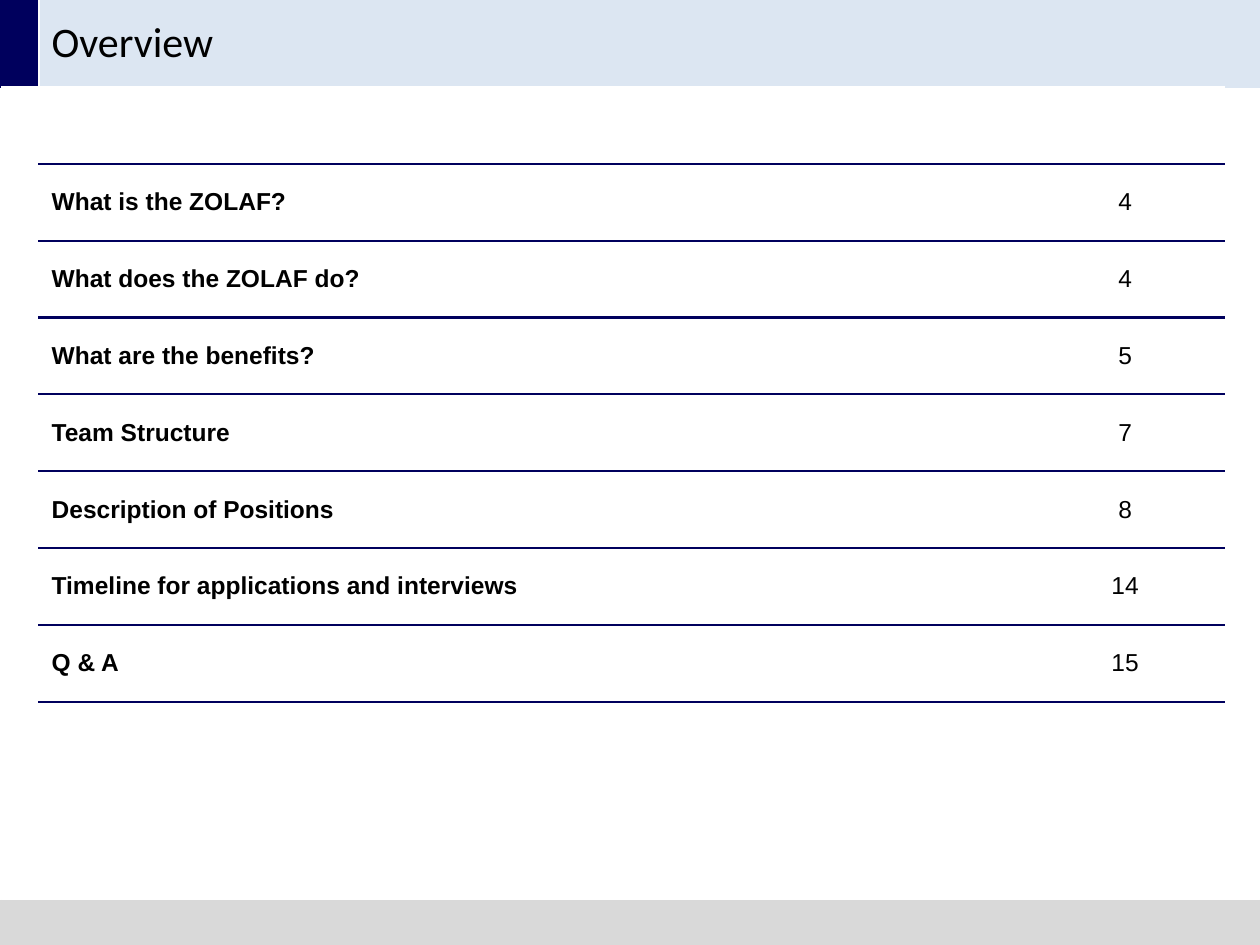
import pptx
import pptx.dml.color
import pptx.enum.text
import pptx.oxml
import pptx.oxml.ns
import pptx.util

NAVY, PALE_BLUE, GREY, WHITE, BLACK = "00005D", "DCE6F2", "D9D9D9", "FFFFFF", "000000"
AGENDA = [
    ("What is the ZOLAF?", "4"),
    ("What does the ZOLAF do?", "4"),
    ("What are the benefits?", "5"),
    ("Team Structure", "7"),
    ("Description of Positions", "8"),
    ("Timeline for applications and interviews", "14"),
    ("Q & A", "15"),
]


def color(hex_string):
    return pptx.dml.color.RGBColor.from_string(hex_string)


class OverviewSlide:
    """Holds the style and the current slide; lengths are shares of its size."""

    def __init__(self, deck):
        self.width, self.height = deck.slide_width, deck.slide_height
        self.slide = deck.slides.add_slide(deck.slide_layouts[6])

    def table(self, left, top, column_shares, row_shares):
        frame = self.slide.shapes.add_table(
            len(row_shares), len(column_shares),
            int(left * self.width), int(top * self.height),
            int(sum(column_shares) * self.width), int(sum(row_shares) * self.height))
        grid = frame.table
        grid.first_row = grid.horz_banding = False
        for column, share in zip(grid.columns, column_shares):
            column.width = int(share * self.width)
        for row, share in zip(grid.rows, row_shares):
            row.height = int(share * self.height)
        return grid

    def cell(self, cell, fill, borders):
        """Fill a cell; borders gives (colour, points) for left, right, top, bottom."""
        properties = cell._tc.get_or_add_tcPr()
        for side, (hex_string, points) in zip("LRTB", borders):
            properties.append(pptx.oxml.parse_xml(
                f'<a:ln{side} {pptx.oxml.ns.nsdecls("a")} w="{int(pptx.util.Pt(points))}">'
                f'<a:solidFill><a:srgbClr val="{hex_string}"/></a:solidFill></a:ln{side}>'))
        cell.fill.solid()
        cell.fill.fore_color.rgb = color(fill)
        cell.margin_top = cell.margin_bottom = 0
        cell.vertical_anchor = pptx.enum.text.MSO_ANCHOR.MIDDLE

    def text(self, cell, wording, font, size, bold=False):
        paragraph = cell.text_frame.paragraphs[0]
        run = paragraph.add_run()
        run.text = wording
        run.font.name, run.font.size, run.font.bold = font, pptx.util.Pt(size), bold
        run.font.color.rgb = color(BLACK)
        return paragraph

    def title_bar(self, title):
        bar = self.table(0, -0.01 / 7.5, [0.031, 0.969], [0.7 / 7.5])
        white, pale = (WHITE, 1.5), (PALE_BLUE, 1.5)
        self.cell(bar.cell(0, 0), NAVY, [(NAVY, 1.5), white, white, white])
        self.cell(bar.cell(0, 1), PALE_BLUE, [white, pale, white, pale])
        self.text(bar.cell(0, 1), title, "Calibri", 24)

    def footer_band(self):
        band = self.table(0.001, 7.15 / 7.5, [0.998], [0.35 / 7.5])
        self.cell(band.cell(0, 0), GREY, [(GREY, 1.5)] * 4)

    def agenda(self, entries):
        """List topics with page numbers, below one empty spacing row."""
        rows = [("", "")] + entries
        listing = self.table(0.031, 0.69 / 7.5, [0.495, 0.446], [0.61 / 7.5] * len(rows))
        edge, rule = (WHITE, 1), (NAVY, 1.5)
        for index, (topic, page) in enumerate(rows):
            topic_cell, page_cell = listing.cell(index, 0), listing.cell(index, 1)
            for cell in (topic_cell, page_cell):
                self.cell(cell, WHITE, [edge, edge, rule if index else edge, rule])
            if topic:
                self.text(topic_cell, topic, "Arial", 14, bold=True)
                number = self.text(page_cell, page, "Arial", 14)
                number.alignment = pptx.enum.text.PP_ALIGN.CENTER
                indent = number._p.get_or_add_pPr()
                indent.set("marL", str(int(pptx.util.Inches(2.88))))
                indent.set("indent", "0")


def main():
    deck = pptx.Presentation()
    deck.slide_width, deck.slide_height = pptx.util.Inches(10), pptx.util.Inches(7.5)
    overview = OverviewSlide(deck)
    overview.title_bar("Overview")
    overview.footer_band()
    overview.agenda(AGENDA)
    deck.save("out.pptx")


if __name__ == "__main__":
    main()
